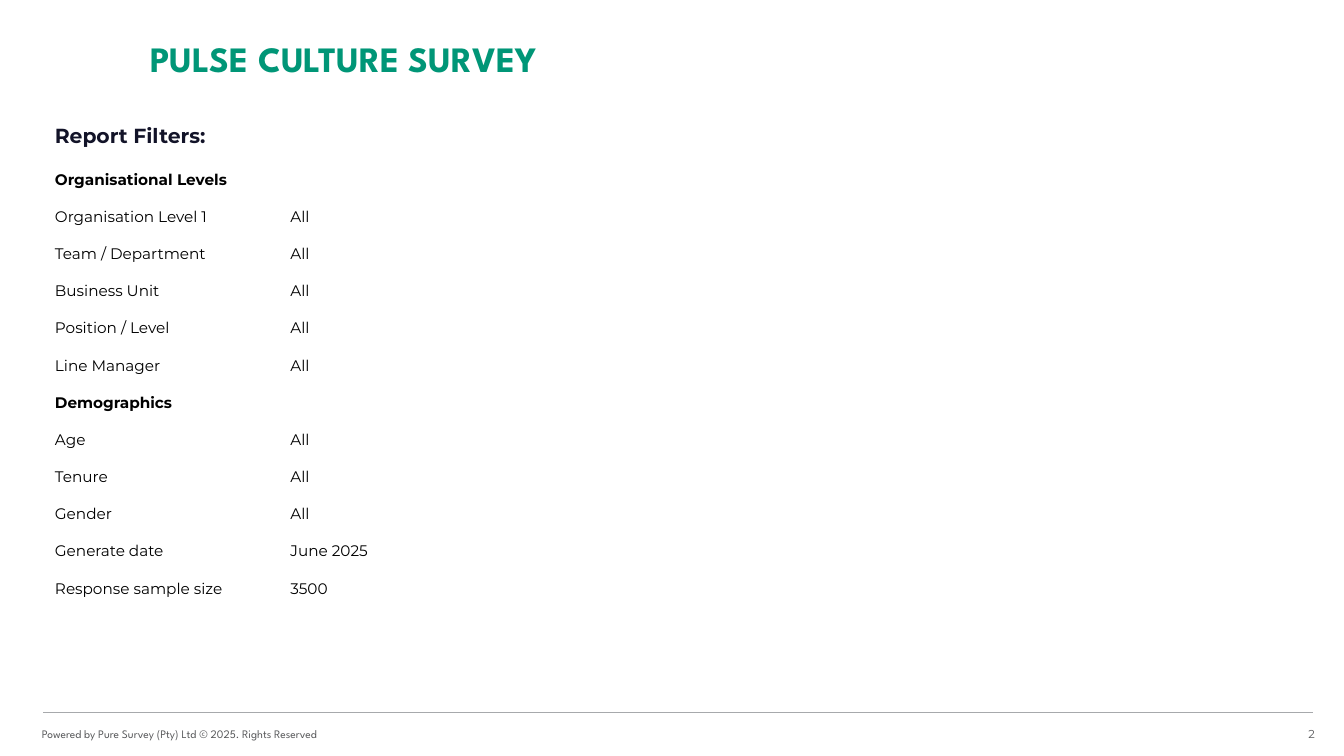
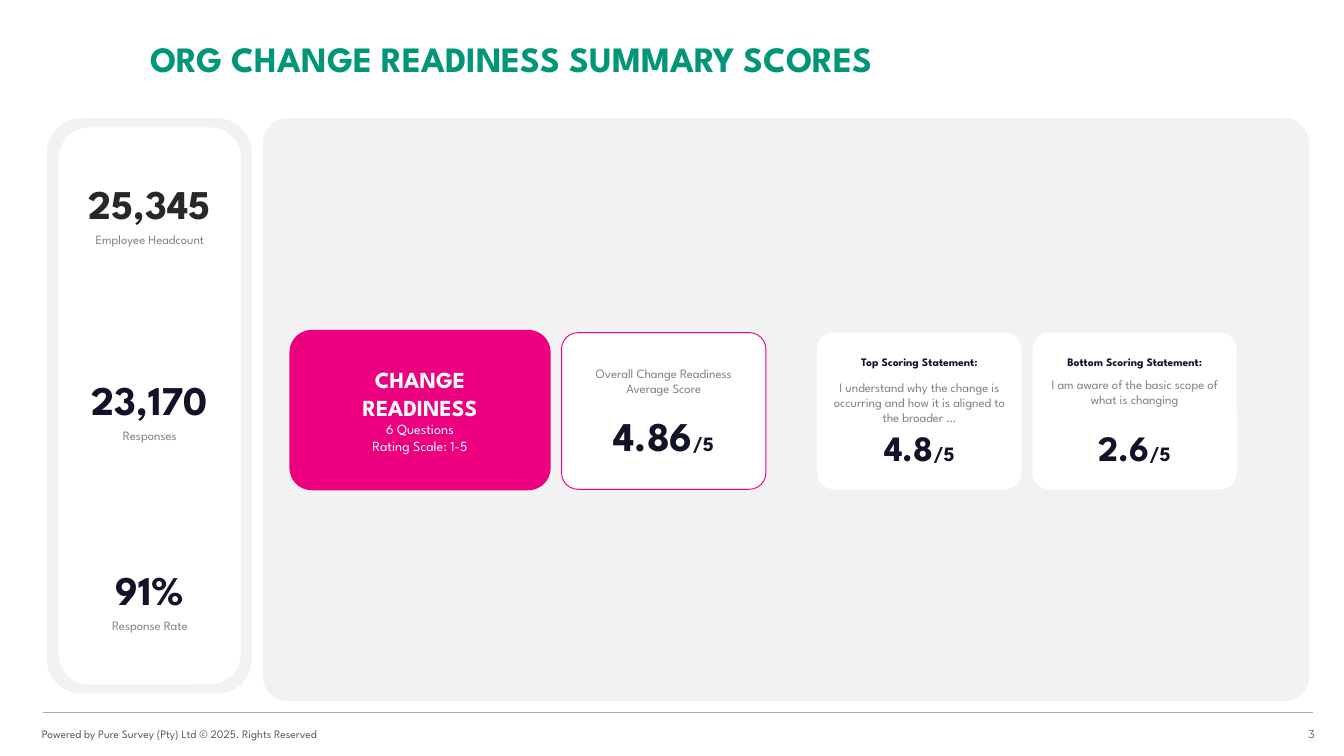
import copy
import dataclasses

import pptx
import pptx.dml.color
import pptx.enum.shapes
import pptx.enum.text
import pptx.oxml
import pptx.util
from pptx.util import Inches

ALIGN = pptx.enum.text.PP_ALIGN
ANCHOR = pptx.enum.text.MSO_ANCHOR
ROUNDED = pptx.enum.shapes.MSO_SHAPE.ROUNDED_RECTANGLE


def style(size, color, bold=False, name="League Spartan"):
    return {"size": pptx.util.Pt(size), "bold": bold, "name": name, "color": color}


@dataclasses.dataclass(frozen=True)
class Theme:
    white = "FFFFFF"
    panel = "F2F2F2"
    pink = "ED0080"
    rule = "A7A9AC"
    ink = "121328"
    title = style(28, "009677", True)
    footer = style(9, "58595B")
    page_number = style(9, "58595B", name="Montserrat")
    filter_heading = style(16, ink, True, "Montserrat")
    table_group = style(12, "000000", True, "Montserrat")
    table_text = style(12, "000000", name="Montserrat")
    headcount = style(32, "282828", True)
    large_score = style(32, ink, True)
    score = style(28, ink, True)
    score_scale = style(16, ink, True)
    card_heading = style(9, ink, True)
    caption = style(10, "808080")
    badge_title = style(18, white, True)
    badge_detail = style(11, white)


THEME = Theme()

FILTERS = [
    ("Organisational Levels",),
    ("Organisation Level 1", "All"),
    ("Team / Department", "All"),
    ("Business Unit", "All"),
    ("Position / Level", "All"),
    ("Line Manager", "All"),
    ("Demographics",),
    ("Age", "All"),
    ("Tenure", "All"),
    ("Gender", "All"),
    ("Generate date", "June 2025"),
    ("Response sample size", "3500"),
]

# Offset from the top of the panel, value, label, value style
HEADLINE_FIGURES = [
    (0.61, "25,345", "Employee Headcount", THEME.headcount),
    (2.75, "23,170", "Responses", THEME.large_score),
    (4.82, "91%", "Response Rate", THEME.large_score),
]


def rgb(color):
    return pptx.dml.color.RGBColor.from_string(color)


def write_paragraph(paragraph, runs, alignment=ALIGN.LEFT):
    """Write (text, style) runs; a newline in a text becomes a line break."""
    paragraph.alignment = alignment
    for text, text_style in runs:
        for index, line in enumerate(text.split("\n")):
            if index:
                paragraph.add_line_break()
                paragraph._p[-1].append(copy.deepcopy(run._r.rPr))
            run = paragraph.add_run()
            run.text = line
            for attribute, value in text_style.items():
                if attribute == "color":
                    run.font.color.rgb = rgb(value)
                else:
                    setattr(run.font, attribute, value)


def write_frame(frame, paragraphs, alignment=ALIGN.LEFT, anchor=ANCHOR.TOP):
    settings = {
        "word_wrap": True,
        "auto_size": pptx.enum.text.MSO_AUTO_SIZE.NONE,
        "vertical_anchor": anchor,
    }
    for attribute, value in settings.items():
        setattr(frame, attribute, value)
    for index, runs in enumerate(paragraphs):
        paragraph = frame.add_paragraph() if index else frame.paragraphs[0]
        write_paragraph(paragraph, runs, alignment)


def add_text(shapes, box, runs, alignment=ALIGN.CENTER, anchor=ANCHOR.TOP):
    textbox = shapes.add_textbox(*map(Inches, box))
    write_frame(textbox.text_frame, [runs], alignment, anchor)


def add_panel(shapes, box, fill, rounding=0.17, outline=None):
    shape = shapes.add_shape(ROUNDED, *map(Inches, box))
    shape.adjustments[0] = rounding
    shape.shadow.inherit = False
    shape.fill.solid()
    shape.fill.fore_color.rgb = rgb(fill)
    if outline:
        shape.line.color.rgb = rgb(outline)
        shape.line.width = pptx.util.Pt(0.75)
    else:
        shape.line.fill.background()
    return shape


def place_title(layout):
    title = next(iter(layout.placeholders))
    position = {"left": 1.54, "top": 0.35, "width": 10.72, "height": 0.56}
    for attribute, value in position.items():
        setattr(title, attribute, Inches(value))


def add_footer(shapes, page):
    rule = shapes.add_connector(
        pptx.enum.shapes.MSO_CONNECTOR.STRAIGHT,
        Inches(0.47), Inches(7.78), Inches(14.33), Inches(7.78),
    )
    rule.line.color.rgb = rgb(THEME.rule)
    rule.line.width = pptx.util.Pt(0.75)
    rule._element.spPr.append(pptx.oxml.parse_xml(
        '<a:effectLst xmlns:a="http://schemas.openxmlformats.org/drawingml/2006/main"/>'
    ))
    credit = "Powered by Pure Survey (Pty) Ltd © 2025. Rights Reserved"
    add_text(shapes, (0.36, 7.79, 6.51, 0.44), [(credit, THEME.footer)],
             ALIGN.LEFT, ANCHOR.MIDDLE)
    add_text(shapes, (11.15, 7.79, 3.3, 0.44), [(str(page), THEME.page_number)],
             ALIGN.RIGHT, ANCHOR.MIDDLE)


def add_titled_slide(presentation, layout, title, page):
    slide = presentation.slides.add_slide(layout)
    write_frame(slide.shapes.title.text_frame, [[(title, THEME.title)]])
    add_footer(slide.shapes, page)
    return slide


def add_filter_table(shapes, box):
    frame = shapes.add_table(len(FILTERS), 2, *map(Inches, box))
    table = frame.table
    table.first_row = table.horz_banding = False
    label_width = Inches(2.57)
    table.columns[0].width = label_width
    table.columns[1].width = Inches(box[2]) - label_width
    for row_index, texts in enumerate(FILTERS):
        is_group = len(texts) == 1
        for column in range(2):
            table.cell(row_index, column).fill.background()
        if is_group:
            table.cell(row_index, 0).merge(table.cell(row_index, 1))
        text_style = THEME.table_group if is_group else THEME.table_text
        for column, text in enumerate(texts):
            paragraph = table.cell(row_index, column).text_frame.paragraphs[0]
            write_paragraph(paragraph, [(text, text_style)])


def add_headline_figures(shapes, box):
    left, top, width, height = box
    add_panel(shapes, box, THEME.panel)
    inner_left, inner_width = left + 0.13, width - 0.25
    add_panel(shapes, (inner_left, top + 0.1, inner_width, height - 0.2), THEME.white)
    for offset, value, label, value_style in HEADLINE_FIGURES:
        value_top = top + offset
        add_text(shapes, (inner_left, value_top, inner_width, 0.64), [(value, value_style)])
        add_text(shapes, (inner_left, value_top + 0.58, inner_width, 0.27),
                 [(label, THEME.caption)])


def add_badge(shapes, box):
    badge = add_panel(shapes, box, THEME.pink, 0.139)
    write_frame(badge.text_frame, [
        [("CHANGE\nREADINESS", THEME.badge_title)],
        [("6 Questions\nRating Scale: 1-5", THEME.badge_detail)],
    ], ALIGN.CENTER, ANCHOR.MIDDLE)


def add_score_card(shapes, box, texts, outline=None):
    """Add a card; texts are (offset from the card top, height, runs)."""
    left, top, width, _ = box
    card = shapes.add_group_shape().shapes
    add_panel(card, box, THEME.white, 0.105, outline)
    for offset, height, runs in texts:
        add_text(card, (left, top + offset, width, height), runs)


def add_statement_card(shapes, box, heading, statement, statement_offset, score):
    add_score_card(shapes, box, [
        (0.97, 0.57, [(score, THEME.score), ("/5", THEME.score_scale)]),
        (0.19, 0.25, [(heading, THEME.card_heading)]),
        (statement_offset, 0.61, [(statement, THEME.caption)]),
    ])


def add_readiness_scores(shapes, box):
    left, top, width, height = box
    add_panel(shapes, box, THEME.panel, 0.042)
    badge_left, badge_width, gap = left + 0.29, 2.85, 0.12
    card_top, card_width, card_height = top + 2.34, 2.23, 1.71
    add_badge(shapes, (badge_left, top + 2.31, badge_width, 1.75))
    overall_left = badge_left + badge_width + gap
    add_score_card(shapes, (overall_left, card_top, card_width, card_height), [
        (0.8, 0.64, [("4.86", THEME.large_score), ("/5", THEME.score_scale)]),
        (0.31, 0.44, [("Overall Change Readiness\nAverage Score", THEME.caption)]),
    ], THEME.pink)
    statements = [
        ("Top Scoring Statement:",
         "I understand why the change is occurring and how it is aligned to the broader …",
         0.46, "4.8"),
        ("Bottom Scoring Statement:",
         "I am aware of the basic scope of what is changing",
         0.43, "2.6"),
    ]
    for index, statement in enumerate(statements):
        card_left = left + 6.05 + index * (card_width + gap)
        add_statement_card(shapes, (card_left, card_top, card_width, card_height), *statement)


def build_filters_slide(presentation, layout):
    slide = add_titled_slide(presentation, layout, "PULSE CULTURE SURVEY", 2)
    add_text(slide.shapes, (0.5, 1.29, 3, 0.37),
             [("Report Filters:", THEME.filter_heading)], ALIGN.LEFT)
    add_filter_table(slide.shapes, (0.5, 1.81, 7.79, 4.87))


def build_summary_slide(presentation, layout):
    slide = add_titled_slide(presentation, layout, "ORG CHANGE READINESS SUMMARY SCORES", 3)
    add_headline_figures(slide.shapes, (0.51, 1.29, 2.24, 6.28))
    add_readiness_scores(slide.shapes, (2.87, 1.29, 11.42, 6.36))


def main():
    presentation = pptx.Presentation()
    presentation.slide_width = Inches(14.67)
    presentation.slide_height = Inches(8.25)
    layout = presentation.slide_layouts.get_by_name("Title Only")
    place_title(layout)
    build_filters_slide(presentation, layout)
    build_summary_slide(presentation, layout)
    presentation.save("out.pptx")


if __name__ == "__main__":
    main()
